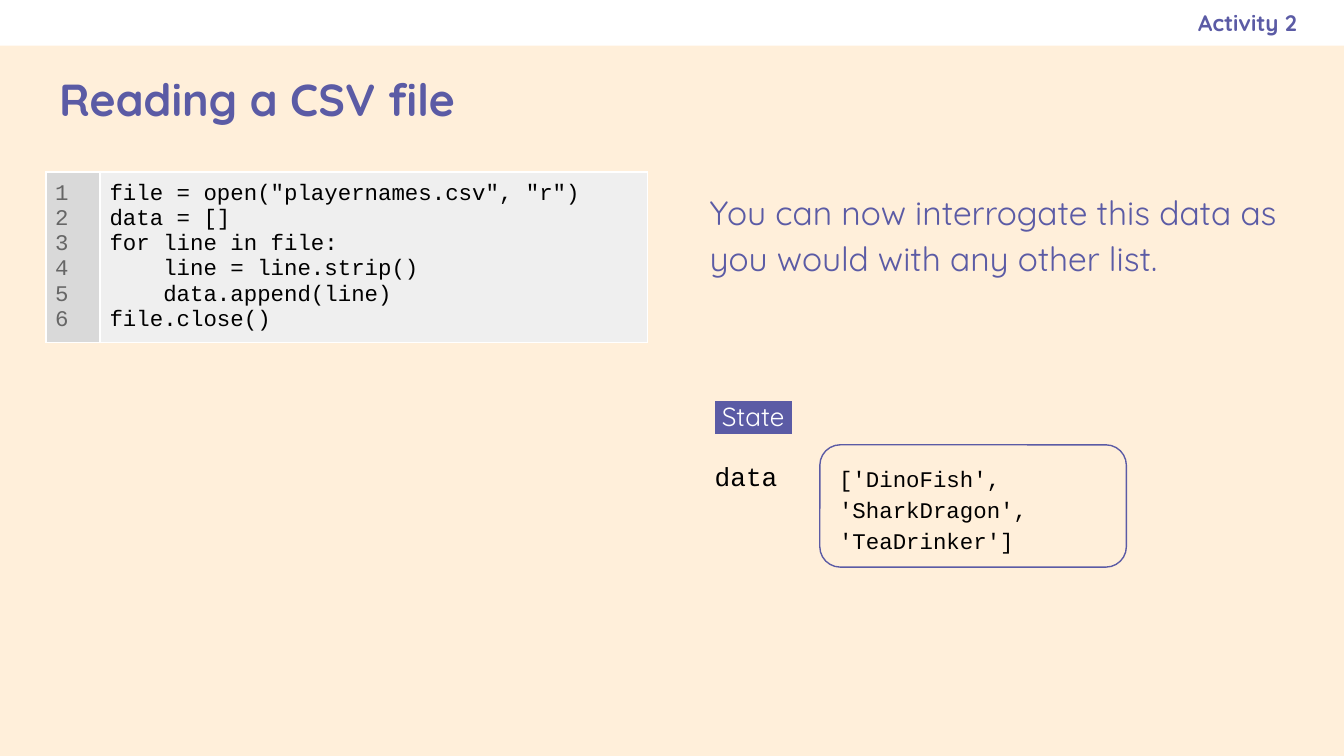
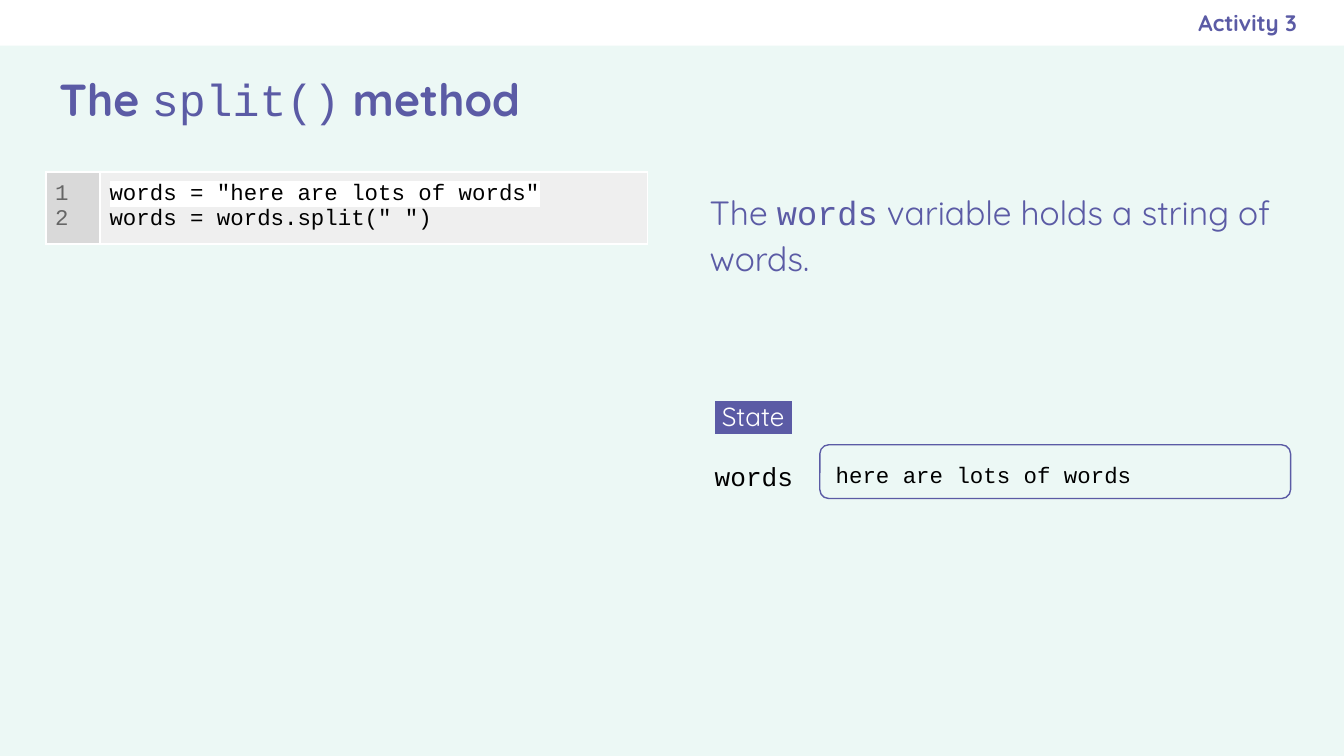
from pptx import Presentation
from pptx.dml.color import RGBColor
from pptx.enum.shapes import MSO_SHAPE as Kind
from pptx.enum.text import MSO_ANCHOR as Anchor, MSO_AUTO_SIZE as Fit, PP_ALIGN as Align
from pptx.oxml import parse_xml
from pptx.oxml.ns import nsdecls, qn
from pptx.util import Pt

SANS, MONO = "Quicksand", "Courier New"
INK, BLACK, WHITE = "5B5BA5", "000000", "FFFFFF"
GREY, DARK, PALE = "666666", "D9D9D9", "EFEFEF"
PAGE = (720, 405)
BAND = 24.5
LEFT, TOP = 24.5, 92.2
GUTTER, CODE = 29.2, 293.2
STATE = 375.8

SLIDES = [
    {
        "back": "FFEFDA",
        "label": "Activity 2",
        "title": ["Reading a CSV file"],
        "body": ["You can now interrogate this data as you would with any other list."],
        "code": [
            'file = open("playernames.csv", "r")',
            "data = []",
            "for line in file:",
            "    line = line.strip()",
            "    data.append(line)",
            "file.close()",
        ],
        "name": "data",
        "value": "['DinoFish', 'SharkDragon', 'TeaDrinker']",
        "size": (164.2, 65.5),
    },
    {
        "back": "ECF8F5",
        "label": "Activity 3",
        "title": ["The ", ("split()", {"font": MONO, "bold": False}), " method"],
        "body": ["The ", ("words", {"font": MONO}), " variable holds a string of words."],
        "code": [
            ('words = "here are lots of words"', {"mark": WHITE}),
            'words = words.split(" ")',
        ],
        "name": "words",
        "value": "here are lots of words",
        "size": (252.2, 28.8),
    },
]


def tint(code):
    return RGBColor.from_string(code)


def paint(thing, code):
    thing.fill.solid()
    thing.fill.fore_color.rgb = tint(code)


def style(run, font, size, color, bold=False, mark=None):
    run.font.size = Pt(size)
    run.font.bold = bold
    run.font.color.rgb = tint(color)
    run.font.name = font
    if mark:
        run.font._element.find(qn("a:latin")).addprevious(parse_xml(
            f'<a:highlight {nsdecls("a")}><a:srgbClr val="{mark}"/></a:highlight>'))


def write(frame, lines, align=Align.LEFT, gap=None, after=0, **look):
    for i, line in enumerate(lines):
        para = frame.add_paragraph() if i else frame.paragraphs[0]
        props = para._p.get_or_add_pPr()
        props.set("marL", "0")
        props.set("indent", "0")
        para.alignment = align
        para.space_before, para.space_after = Pt(0), Pt(after)
        if gap:
            para.line_spacing = gap
        props.append(parse_xml(f'<a:buNone {nsdecls("a")}/>'))
        for part in line:
            text, extra = part if isinstance(part, tuple) else (part, {})
            run = para.add_run()
            run.text = text
            style(run, **{**look, **extra})


def pad(thing, left=7.2, top=7.2, right=7.2, bottom=7.2):
    thing.margin_left, thing.margin_top = Pt(left), Pt(top)
    thing.margin_right, thing.margin_bottom = Pt(right), Pt(bottom)


def setup(frame, anchor=Anchor.TOP, **edges):
    frame.word_wrap = True
    frame.auto_size = Fit.NONE
    frame.vertical_anchor = anchor
    pad(frame, **edges)
    return frame


def place(shape, *box):
    shape.left, shape.top, shape.width, shape.height = map(Pt, box)
    return shape.text_frame


def add_box(slide, *box, **edges):
    return setup(slide.shapes.add_textbox(*map(Pt, box)).text_frame, **edges)


def add_code(slide, code):
    high = 12 + 13.2 * len(code)
    frame = slide.shapes.add_table(1, 2, Pt(LEFT), Pt(TOP), Pt(GUTTER + CODE), Pt(high))
    table = frame.table
    table.first_row = table.horz_banding = False
    count = [str(i + 1) for i in range(len(code))]
    cols = [(GUTTER, DARK, GREY, count), (CODE, PALE, BLACK, code)]
    for i, (wide, fill, color, lines) in enumerate(cols):
        table.columns[i].width = Pt(wide)
        cell = table.cell(0, i)
        paint(cell, fill)
        pad(cell, 5, 5, 5, 5)
        write(cell.text_frame, [[line] for line in lines], font=MONO, size=12, color=color)


def add_state(slide, name, value, size):
    write(add_box(slide, STATE, 236.9, 96.5, 28.8), [[name]],
          gap=1.15, font=MONO, size=14, color=BLACK)
    write(add_box(slide, STATE, 205.2, 167.8, 28.8, right=4.3), [[" State "]],
          gap=1.14, font=SANS, size=14, color=WHITE, mark=INK)
    ring = slide.shapes.add_shape(Kind.ROUNDED_RECTANGLE, Pt(439.2), Pt(238.3), *map(Pt, size))
    ring.adjustments[0] = 0.167
    ring.shadow.inherit = False
    ring.fill.background()
    ring.line.color.rgb = tint(INK)
    ring.line.width = Pt(0.75)
    write(setup(ring.text_frame, Anchor.MIDDLE, top=1.4, bottom=0), [[value]],
          gap=1.15, font=MONO, size=12, color=BLACK)


def add_band(deck, slide):
    band = slide.shapes.add_shape(Kind.RECTANGLE, 0, 0, Pt(PAGE[0]), Pt(BAND))
    band.shadow.inherit = False
    paint(band, WHITE)
    band.line.fill.background()
    band._element.nvSpPr.cNvPr.set("id", "99")
    deck.slide_master.shapes._spTree.insert(2, band._element)


def add_slide(deck, data):
    slide = deck.slides.add_slide(deck.slide_layouts[3])
    paint(slide.background, data["back"])
    title, body, label = slide.placeholders
    write(setup(place(title, LEFT, 25.2, 671, 54.7), Anchor.MIDDLE), [data["title"]],
          font=SANS, size=24, color=INK, bold=True)
    write(setup(place(body, 373, TOP, 322.6, 100.8)), [data["body"]],
          gap=1.15, after=16, font=SANS, size=18, color=INK)
    write(setup(place(label, 414, 0, 280.8, BAND), Anchor.MIDDLE, right=0), [[data["label"]]],
          align=Align.RIGHT, font=SANS, size=12, color=INK, bold=True)
    add_code(slide, data["code"])
    add_state(slide, data["name"], data["value"], data["size"])
    return slide


def main():
    deck = Presentation()
    deck.slide_width, deck.slide_height = map(Pt, PAGE)
    pages = [add_slide(deck, data) for data in SLIDES]
    add_band(deck, pages[0])
    deck.save("out.pptx")


if __name__ == "__main__":
    main()
